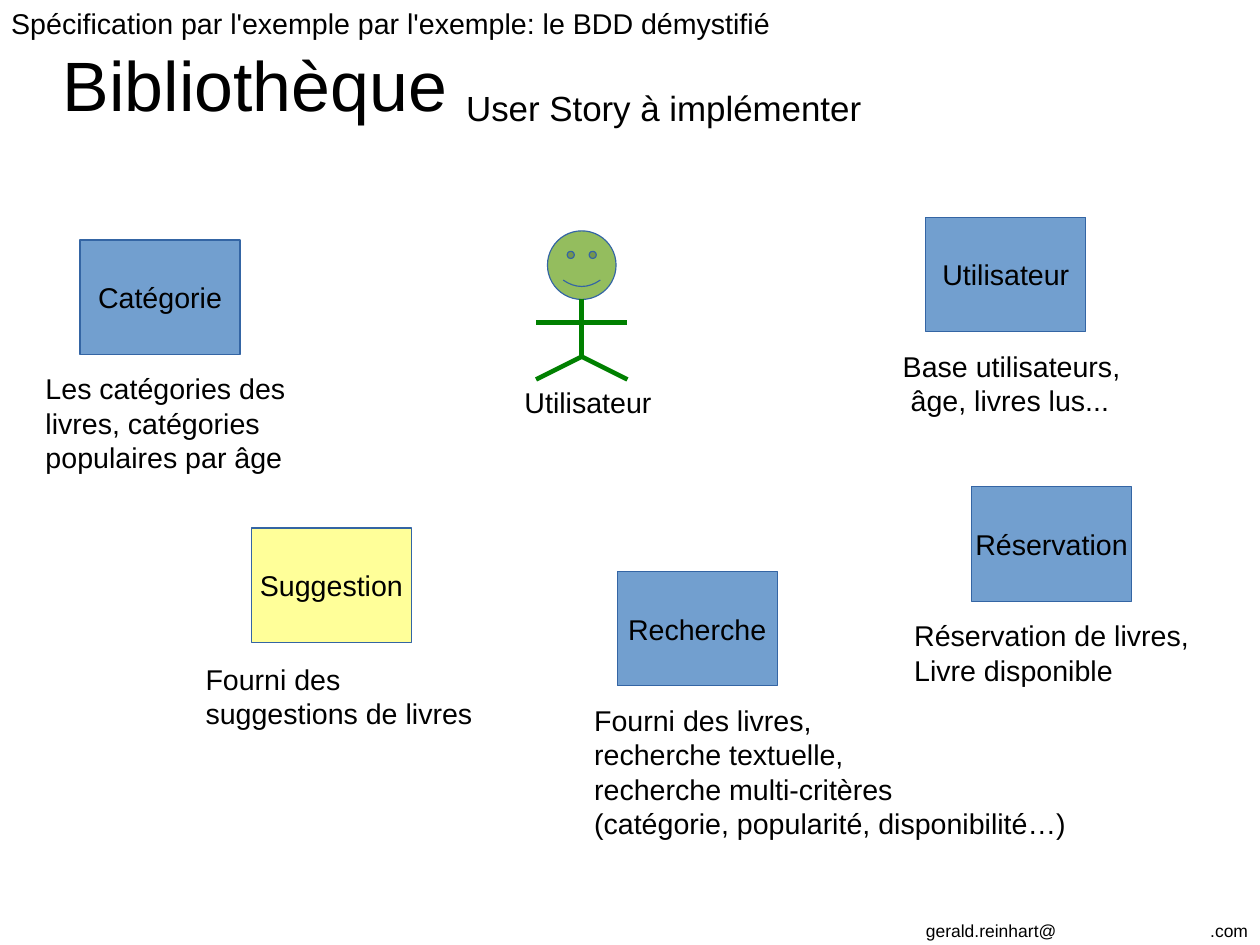
"""Build the library user story slide with its components and user figure."""
from dataclasses import dataclass

from lxml.etree import SubElement
from pptx import Presentation
from pptx.dml.color import RGBColor
from pptx.enum.shapes import MSO_CONNECTOR as Connector, MSO_SHAPE as Shape
from pptx.enum.text import MSO_ANCHOR as Anchor, MSO_AUTO_SIZE as AutoSize, PP_ALIGN as Align
from pptx.oxml.ns import qn
from pptx.util import Inches, Pt

CM_PER_INCH = 2.54
SLIDE_WIDTH, SLIDE_HEIGHT = 28 / CM_PER_INCH, 21 / CM_PER_INCH
BLUE, YELLOW, OUTLINE = "729FCF", "FFFF99", "3465A4"
FACE_GREEN, BODY_GREEN, BLACK = "94BD5E", "008000", "000000"
BOX_WIDTH, BOX_HEIGHT = 1.4, 1.0


@dataclass
class Component:
    name: str
    left: float
    top: float
    caption: str
    caption_left: float
    caption_top: float
    caption_width: float
    caption_height: float
    fill: str = BLUE
    wrap: bool = False


@dataclass
class Limb:
    start: tuple[float, float]
    end: tuple[float, float]


COMPONENTS = [
    Component("Catégorie", 0.7, 2.1, "Les catégories des livres, catégories populaires par âge",
              0.3, 3.2, 2.8, 1.1, wrap=True),
    Component("Suggestion", 2.2, 4.62, "Fourni des suggestions de livres",
              1.7, 5.74, 2.6, 0.66, fill=YELLOW, wrap=True),
    Component("Utilisateur", 8.1, 1.9, "Base utilisateurs,\v âge, livres lus...",
              7.8, 3, 2.1, 0.8),
    Component("Recherche", 5.4, 5,
              "Fourni des livres, \vrecherche textuelle, \vrecherche multi-critères \v"
              "(catégorie, popularité, disponibilité…)", 5.1, 6.1, 4.32, 1.22),
    Component("Réservation", 8.5, 4.26, "Réservation de livres,\nLivre disponible",
              7.9, 5.36, 2.6, 0.66),
]

NECK, HIPS = (5.09, 2.62), (5.09, 3.12)
LIMBS = [
    Limb(NECK, HIPS),
    Limb((4.69, 3.32), HIPS),
    Limb((5.49, 3.32), HIPS),
    Limb((4.69, 2.82), (5.49, 2.82)),
]


def color(value: str) -> RGBColor:
    return RGBColor.from_string(value)


def write(shape, text: str, *, size: float = 18, align=Align.LEFT, anchor=Anchor.TOP,
          wrap: bool = False, inset_x: float = 0.1, inset_y: float = 0.05) -> None:
    frame = shape.text_frame
    frame.text = text
    frame.auto_size = AutoSize.NONE
    frame.word_wrap = wrap
    frame.vertical_anchor = anchor
    frame.margin_left = frame.margin_right = Inches(inset_x)
    frame.margin_top = frame.margin_bottom = Inches(inset_y)
    for paragraph in frame.paragraphs:
        paragraph.alignment = align
        for run in paragraph.runs:
            run.font.name = "Arial"
            run.font.size = Pt(size)
            run.font.color.rgb = color(BLACK)


def add_text(slide, text: str, left: float, top: float, width: float, height: float, **style):
    box = slide.shapes.add_textbox(Inches(left), Inches(top), Inches(width), Inches(height))
    write(box, text, **style)
    return box


def add_outlined(slide, kind, left: float, top: float, width: float, height: float, fill: str):
    shape = slide.shapes.add_shape(kind, Inches(left), Inches(top), Inches(width), Inches(height))
    shape.shadow.inherit = False
    shape.fill.solid()
    shape.fill.fore_color.rgb = color(fill)
    shape.line.color.rgb = color(OUTLINE)
    shape.line.width = Pt(0)
    return shape


def add_component(slide, component: Component) -> None:
    box = add_outlined(slide, Shape.RECTANGLE, component.left, component.top,
                       BOX_WIDTH, BOX_HEIGHT, component.fill)
    write(box, component.name, align=Align.CENTER, anchor=Anchor.MIDDLE)
    add_text(slide, component.caption, component.caption_left, component.caption_top,
             component.caption_width, component.caption_height, wrap=component.wrap)


def add_limb(slide, limb: Limb) -> None:
    line = slide.shapes.add_connector(
        Connector.STRAIGHT, *(Inches(value) for value in limb.start + limb.end))
    line.line.color.rgb = color(BODY_GREEN)
    line.line.width = Pt(2.89)
    SubElement(line._element.spPr, qn("a:effectLst"))


def add_user(slide) -> None:
    face = add_outlined(slide, Shape.SMILEY_FACE, 4.79, 2.02, 0.6, 0.6, FACE_GREEN)
    face.adjustments[0] = 0.05
    for limb in LIMBS:
        add_limb(slide, limb)
    add_text(slide, "Utilisateur", 4.49, 3.32, 1.31, 0.38)


def add_headings(slide) -> None:
    add_text(slide, "Spécification par l'exemple par l'exemple: le BDD démystifié",
             0, 0, 6.84, 0.38)
    title = slide.shapes.title
    title.left, title.top = Inches(0.55), Inches(0.04)
    title.width, title.height = Inches(9.92), Inches(1.38)
    write(title, "Bibliothèque", size=44, anchor=Anchor.MIDDLE, wrap=True, inset_x=0, inset_y=0)
    add_text(slide, "User Story à implémenter", 3.98, 0.71, 3.66, 0.44, size=22)


def add_contact(slide) -> None:
    contact = add_text(slide, " gerald.reinhart@\t.com", 7.96, 8, 3.24, 0.27, size=11, wrap=True)
    properties = contact.text_frame.paragraphs[0]._p.get_or_add_pPr()
    stops = SubElement(properties, qn("a:tabLst"))
    SubElement(stops, qn("a:tab"), pos=str(Inches(2.53)), algn="l")


def main() -> None:
    presentation = Presentation()
    presentation.slide_width = Inches(SLIDE_WIDTH)
    presentation.slide_height = Inches(SLIDE_HEIGHT)
    slide = presentation.slides.add_slide(presentation.slide_layouts[5])
    for component in COMPONENTS:
        add_component(slide, component)
    add_user(slide)
    add_headings(slide)
    add_contact(slide)
    presentation.save("out.pptx")


if __name__ == "__main__":
    main()
